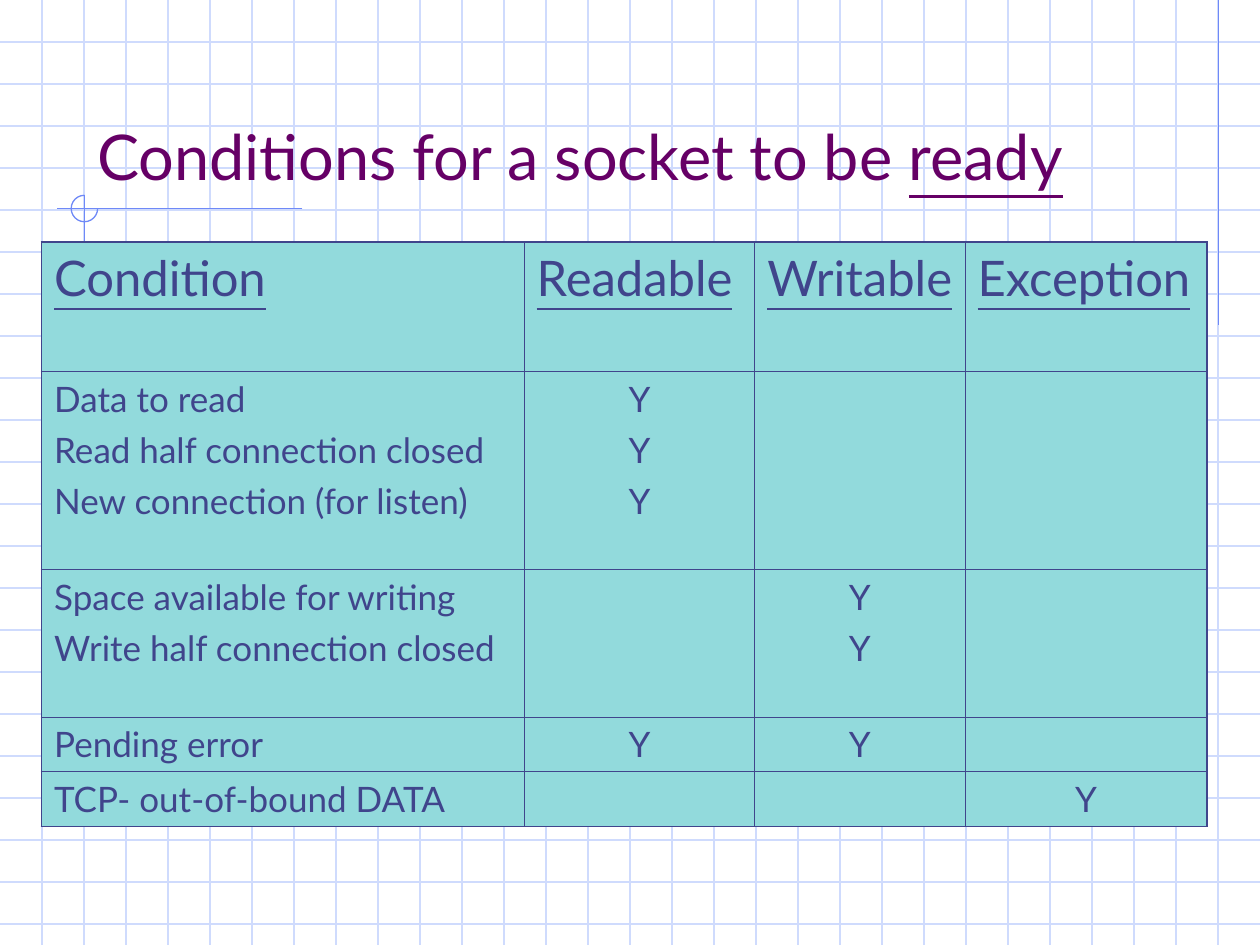
import dataclasses

import lxml.etree
import pptx
import pptx.dml.color
import pptx.enum.shapes
import pptx.enum.text
import pptx.oxml.ns
import pptx.util

Inches = pptx.util.Inches
Pt = pptx.util.Pt
PP_ALIGN = pptx.enum.text.PP_ALIGN
qn = pptx.oxml.ns.qn


@dataclasses.dataclass(frozen=True)
class Theme:
    font: str = "Lato"
    grid: str = "CFDBFD"
    accent: str = "6F89F7"
    title: str = "660066"
    ink: str = "40458C"
    cell: str = "92DADC"
    title_size: float = 36
    header_size: float = 28
    body_size: float = 20
    rule_width: float = 0.75
    inner_border: float = 0.45
    outer_border: float = 1.08


THEME = Theme()
WIDTH, HEIGHT = 10, 7.5
GRID_STEP = 1 / 3

COLUMN_WIDTHS = [3.83, 1.83, 1.67, 1.92]
ROW_HEIGHTS = [1.03, 1.57, 1.17, 0.43, 0.43]
HEADERS = ["Condition", "Readable", "Writable", "Exception"]
# Each group: its conditions and the columns marked with Y
GROUPS = [
    (["Data to read", "Read half connection closed", "New connection (for listen)"], {1}),
    (["Space available for writing", "Write half connection closed"], {2}),
    (["Pending error"], {1, 2}),
    (["TCP- out-of-bound DATA"], {3}),
]


def rgb(value):
    return pptx.dml.color.RGBColor.from_string(value)


def set_attributes(target, values):
    for name, value in values.items():
        setattr(target, name, value)


def add_run(paragraph, text, size, color, underline=None):
    run = paragraph.add_run()
    run.text = text
    set_attributes(run.font, {"name": THEME.font, "size": Pt(size), "underline": underline})
    run.font.color.rgb = rgb(color)


def add_rule(slide, start, end, color):
    points = [Inches(value) for value in (*start, *end)]
    line = slide.shapes.add_connector(pptx.enum.shapes.MSO_CONNECTOR.STRAIGHT, *points)
    line.line.color.rgb = rgb(color)
    line.line.width = Pt(THEME.rule_width)
    lxml.etree.SubElement(line.element.spPr, qn("a:effectLst"))


def add_grid(slide, left, top, width, height):
    for index in range(1, int(height / GRID_STEP) + 1):
        y = top + index * GRID_STEP
        add_rule(slide, (left, y), (left + width, y), THEME.grid)
    for index in range(1, round(width / GRID_STEP)):
        x = left + index * GRID_STEP
        add_rule(slide, (x, top), (x, top + height), THEME.grid)


def add_ornament(slide, left, top, width, height):
    """Crossed rules with a three-quarter circle around the crossing."""
    radius = 0.105
    x, y = left + 0.22, top + radius
    add_rule(slide, (left + width, y), (left, y), THEME.accent)
    add_rule(slide, (x, top), (x, top + height), THEME.accent)
    arc = slide.shapes.add_shape(
        pptx.enum.shapes.MSO_SHAPE.ARC,
        Inches(x - radius), Inches(top), Inches(2 * radius), Inches(2 * radius))
    arc.adjustments[0], arc.adjustments[1] = 0, 162  # 0 to 270 degrees
    arc.shadow.inherit = False
    arc.fill.background()
    arc.line.color.rgb = rgb(THEME.accent)
    arc.line.width = Pt(THEME.rule_width)


def add_title(slide, left, top, width, height):
    title = slide.shapes.title
    set_attributes(title, {"left": Inches(left), "top": Inches(top),
                           "width": Inches(width), "height": Inches(height)})
    set_attributes(title.text_frame, {
        "word_wrap": True,
        "auto_size": pptx.enum.text.MSO_AUTO_SIZE.NONE,
        "vertical_anchor": pptx.enum.text.MSO_ANCHOR.BOTTOM})
    paragraph = title.text_frame.paragraphs[0]
    paragraph.alignment = PP_ALIGN.LEFT
    add_run(paragraph, "Conditions for a socket to be ", THEME.title_size, THEME.title)
    add_run(paragraph, "ready", THEME.title_size, THEME.title, True)
    # Bring the title in front of the grid
    slide.shapes.element.append(title.element)


def style_cell(cell, row, column):
    outer = {"L": column == 0, "R": column == len(COLUMN_WIDTHS) - 1,
             "T": row == 0, "B": row == len(ROW_HEIGHTS) - 1}
    properties = cell._tc.get_or_add_tcPr()
    for side, is_outer in outer.items():
        width = Pt(THEME.outer_border if is_outer else THEME.inner_border)
        border = lxml.etree.SubElement(properties, qn(f"a:ln{side}"), w=str(int(width)))
        fill = lxml.etree.SubElement(border, qn("a:solidFill"))
        lxml.etree.SubElement(fill, qn("a:srgbClr"), val=THEME.ink)
    cell.fill.solid()
    cell.fill.fore_color.rgb = rgb(THEME.cell)


def write_cell(cell, lines, size, space, alignment, underline=None):
    frame = cell.text_frame
    for index, text in enumerate(lines):
        paragraph = frame.add_paragraph() if index else frame.paragraphs[0]
        set_attributes(paragraph, {"space_before": Pt(space), "alignment": alignment})
        add_run(paragraph, text, size, THEME.ink, underline)


def add_conditions_table(slide, left, top):
    table = slide.shapes.add_table(
        len(ROW_HEIGHTS), len(COLUMN_WIDTHS), Inches(left), Inches(top),
        Inches(sum(COLUMN_WIDTHS)), Inches(sum(ROW_HEIGHTS))).table
    set_attributes(table, {"first_row": False, "horz_banding": False})
    for column, width in zip(table.columns, COLUMN_WIDTHS):
        column.width = Inches(width)
    for row, height in zip(table.rows, ROW_HEIGHTS):
        row.height = Inches(height)
    for row in range(len(ROW_HEIGHTS)):
        for column in range(len(COLUMN_WIDTHS)):
            style_cell(table.cell(row, column), row, column)

    # Header row
    for column, header in enumerate(HEADERS):
        write_cell(table.cell(0, column), [header], THEME.header_size, 7, PP_ALIGN.LEFT, True)
    # Conditions and their marks
    for row, (conditions, marked) in enumerate(GROUPS, 1):
        write_cell(table.cell(row, 0), conditions, THEME.body_size, 5, PP_ALIGN.LEFT)
        for column in sorted(marked):
            write_cell(table.cell(row, column), ["Y"] * len(conditions),
                       THEME.body_size, 5, PP_ALIGN.CENTER)


def main():
    presentation = pptx.Presentation()
    set_attributes(presentation, {"slide_width": Inches(WIDTH), "slide_height": Inches(HEIGHT)})
    slide = presentation.slides.add_slide(presentation.slide_layouts[5])
    add_grid(slide, 0, 0, WIDTH, HEIGHT)
    add_rule(slide, (9.67, 0), (9.67, 2.58), THEME.accent)
    add_ornament(slide, 0.45, 1.55, 1.95, 2.54)
    add_title(slide, 0.67, 0.33, 8.5, 1.25)
    add_conditions_table(slide, 0.33, 1.92)
    presentation.save("out.pptx")


if __name__ == "__main__":
    main()
